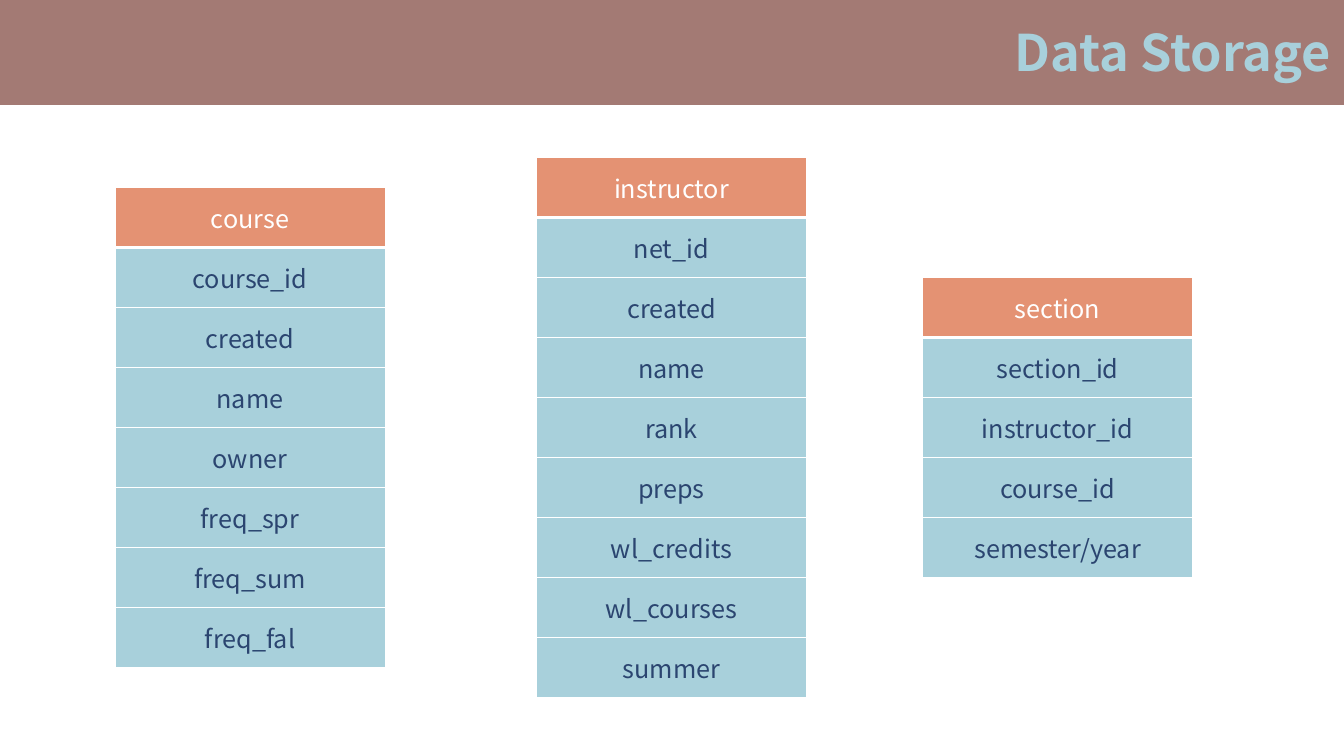
import pptx
import pptx.util
import pptx.dml.color
import pptx.enum.shapes
import pptx.enum.text
import pptx.oxml
import pptx.oxml.ns

Inches = pptx.util.Inches
Pt = pptx.util.Pt
RGBColor = pptx.dml.color.RGBColor
ALIGN = pptx.enum.text.PP_ALIGN
ANCHOR = pptx.enum.text.MSO_ANCHOR

FONT = "Noto Sans CJK JP"
BROWN = RGBColor(0xA3, 0x7A, 0x74)
BLUE = RGBColor(0xA8, 0xD0, 0xDB)
ORANGE = RGBColor(0xE4, 0x92, 0x73)
NAVY = RGBColor(0x2B, 0x45, 0x70)
WHITE = RGBColor(0xFF, 0xFF, 0xFF)

WIDTH = Inches(13.33)
COL = Inches(2.68)
ROW = Inches(4.76) // 8
MIDDLE = Inches(4.24)  # all tables are centred on this height

# Left edge and rows of each table, header first
TABLES = [
    (1.14, ["course", "course_id", "created", "name", "owner",
            "freq_spr", "freq_sum", "freq_fal"]),
    (5.32, ["instructor", "net_id", "created", "name", "rank", "preps",
            "wl_credits", "wl_courses", "summer"]),
    (9.15, ["section", "section_id", "instructor_id", "course_id",
            "semester/year"]),
]


def set_text(frame, text, size, color, align, bold=False):
    para = frame.paragraphs[0]
    para.text = text
    para.alignment = align
    font = para.font
    font.name, font.size, font.bold = FONT, Pt(size), bold
    font.color.rgb = color


def add_band(slide):
    band = slide.shapes.add_shape(
        pptx.enum.shapes.MSO_SHAPE.RECTANGLE, 0, 0, WIDTH, Inches(1.04))
    band.shadow.inherit = False
    band.fill.solid()
    band.fill.fore_color.rgb = BROWN
    band.line.fill.background()


def add_title(slide, text):
    box = slide.shapes.add_textbox(
        Inches(7.08), Inches(0.16), Inches(6.22), Inches(0.71))
    box.text_frame.word_wrap = True
    set_text(box.text_frame, text, 36, BLUE, ALIGN.RIGHT, bold=True)


def set_edges(cell, bottom):
    props = cell._tc.get_or_add_tcPr()
    for side, width in (("L", 1), ("R", 1), ("T", 1), ("B", bottom)):
        props.append(pptx.oxml.parse_xml(
            f'<a:ln{side} {pptx.oxml.ns.nsdecls("a")} w="{Pt(width)}">'
            f'<a:solidFill><a:srgbClr val="{WHITE}"/></a:solidFill>'
            f'</a:ln{side}>'))


def add_schema(slide, left, names):
    height = ROW * len(names)
    table = slide.shapes.add_table(
        len(names), 1, Inches(left), MIDDLE - height // 2, COL, height).table
    for index, name in enumerate(names):
        head = index == 0
        table.rows[index].height = ROW
        cell = table.cell(index, 0)
        set_edges(cell, 3 if head else 1)
        cell.fill.solid()
        cell.fill.fore_color.rgb = ORANGE if head else BLUE
        cell.vertical_anchor = ANCHOR.MIDDLE
        set_text(cell.text_frame, name, 18, WHITE if head else NAVY,
                 ALIGN.CENTER)


def main():
    deck = pptx.Presentation()
    deck.slide_width, deck.slide_height = WIDTH, Inches(7.5)
    slide = deck.slides.add_slide(deck.slide_layouts[6])

    # Title band
    add_band(slide)
    add_title(slide, "Data Storage")

    # Database tables
    for left, names in TABLES:
        add_schema(slide, left, names)

    deck.save("out.pptx")


if __name__ == "__main__":
    main()
